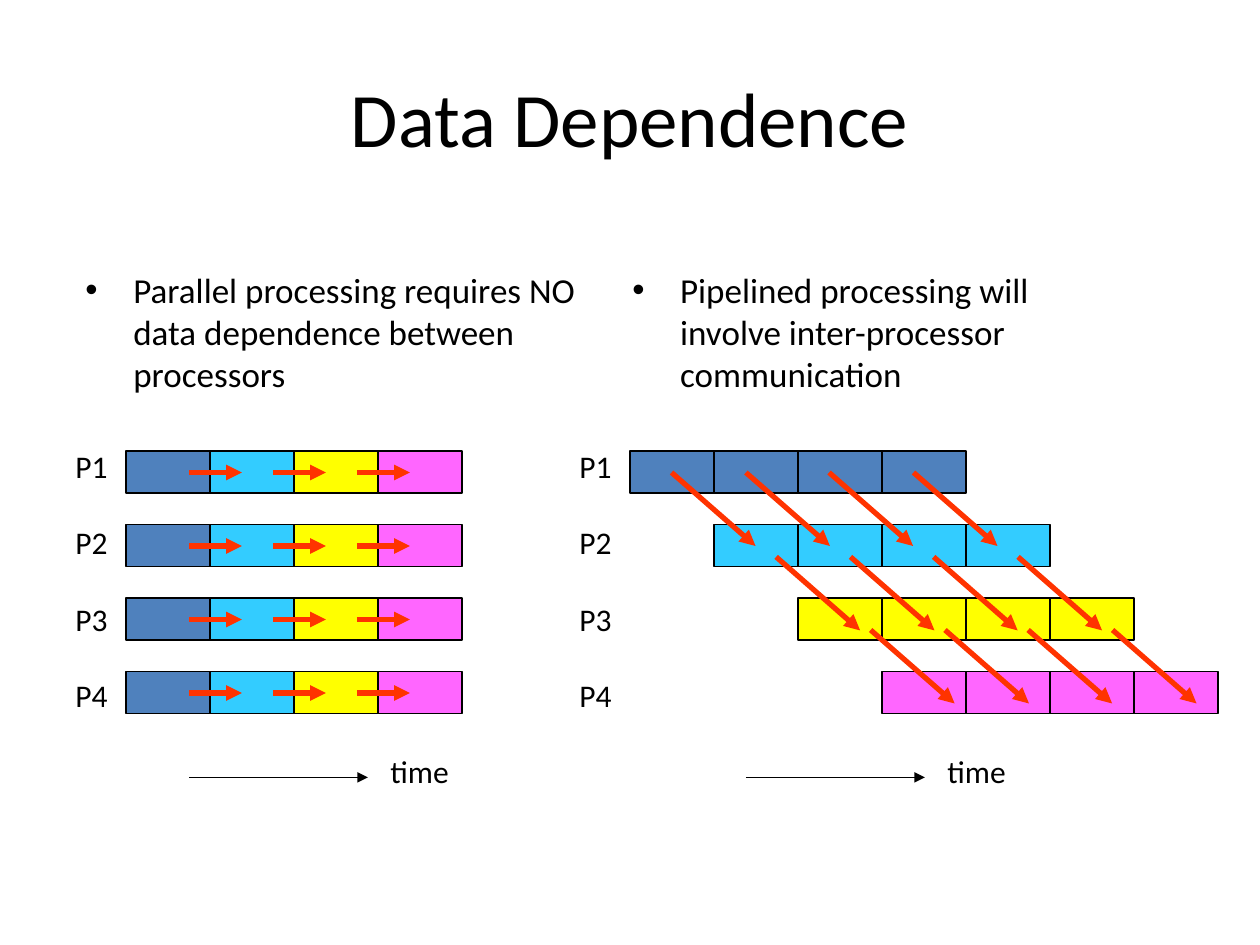
"""Build the Data Dependence slide: parallel versus pipelined processing."""
from pptx import Presentation
from pptx.dml.color import RGBColor
from pptx.enum.shapes import MSO_CONNECTOR as CONN, MSO_SHAPE as SHAPE
from pptx.enum.text import MSO_ANCHOR as ANCHOR, PP_ALIGN as ALIGN
from pptx.oxml.ns import qn
from pptx.util import Inches, Pt
from lxml.etree import SubElement

BLACK = RGBColor(0x00, 0x00, 0x00)
RED = RGBColor(0xFF, 0x33, 0x00)
BLUE = RGBColor(0x4F, 0x81, 0xBD)
CYAN = RGBColor(0x33, 0xCC, 0xFF)
YELLOW = RGBColor(0xFF, 0xFF, 0x00)
PINK = RGBColor(0xFF, 0x66, 0xFF)
COLORS = [BLUE, CYAN, YELLOW, PINK]
CELL_W, CELL_H = 2 / 3, 1 / 3
ROW_TOP, ROW_STEP = 3.58, 7 / 12

prs = Presentation()
prs.slide_width, prs.slide_height = Inches(10), Inches(7.5)
s = prs.slides.add_slide(prs.slide_layouts[6])


def add_text(x, y, w, h, lines, size, wrap=True, gap=0):
    tf = s.shapes.add_textbox(Inches(x), Inches(y), Inches(w), Inches(h)).text_frame
    tf.word_wrap = wrap
    for i, line in enumerate(lines):
        p = tf.add_paragraph() if i else tf.paragraphs[0]
        if i:
            p.space_before = Pt(gap)
        r = p.add_run()
        r.text = line
        r.font.name, r.font.size = "Calibri", Pt(size)
        r.font.color.rgb = BLACK
    return tf


def add_arrow(x1, y1, x2, y2, color, width):
    c = s.shapes.add_connector(CONN.STRAIGHT, Inches(x1), Inches(y1), Inches(x2), Inches(y2))
    c.line.color.rgb = color
    c.line.width = Pt(width)
    SubElement(c.line._get_or_add_ln(), qn("a:tailEnd"), type="triangle")
    SubElement(c._element.spPr, qn("a:effectLst"))


tf = add_text(0.5, 0.3, 9, 1.25, ["Data Dependence"], 44)
tf.vertical_anchor = ANCHOR.MIDDLE
tf.paragraphs[0].alignment = ALIGN.CENTER

for x, text in [
    (0.58, "Parallel processing requires NO data dependence between processors"),
    (4.92, "Pipelined processing will involve inter-processor communication"),
]:
    p = add_text(x, 2.08, 4.17, 4.5, [text], 20).paragraphs[0]
    p.space_before = Pt(4)
    pPr = p._p.get_or_add_pPr()
    pPr.set("marL", str(Inches(0.38)))
    pPr.set("indent", str(Inches(-0.38)))
    SubElement(pPr, qn("a:buFont"), typeface="Arial")
    SubElement(pPr, qn("a:buChar"), char="•")

for left, pipelined in [(1, False), (5, True)]:
    for row in range(4):
        for col in range(4):
            x = left + (col + row * pipelined) * CELL_W
            y = ROW_TOP + row * ROW_STEP
            sp = s.shapes.add_shape(SHAPE.RECTANGLE, Inches(x), Inches(y), Inches(CELL_W), Inches(CELL_H))
            sp.shadow.inherit = False
            sp.fill.solid()
            sp.fill.fore_color.rgb = COLORS[row if pipelined else col]
            sp.line.color.rgb = BLACK
            sp.line.width = Pt(0.75)

for x in [0.5, 4.5]:
    add_text(x, 3.5, 0.47, 2.2, ["P1", "P2", "P3", "P4"], 18, wrap=False, gap=22)

for x in [1.5, 5.92]:
    add_arrow(x, 6.17, x + 1.42, 6.17, BLACK, 0.75)
    add_text(x + 1.5, 5.92, 0.79, 0.5, ["time"], 18, wrap=False)

for row in range(4):
    y = 3.75 + row * ROW_STEP
    for col in range(3):
        x = 1.5 + col * CELL_W
        add_arrow(x, y, x + 0.42, y, RED, 3)

for shift, y in [(0, 3.75), (0.83, 4.42), (1.58, 5)]:
    for start in [5.33, 5.92, 6.58, 7.25]:
        x = start + shift
        add_arrow(x, y, x + CELL_W, y + ROW_STEP, RED, 3)

prs.save("out.pptx")
